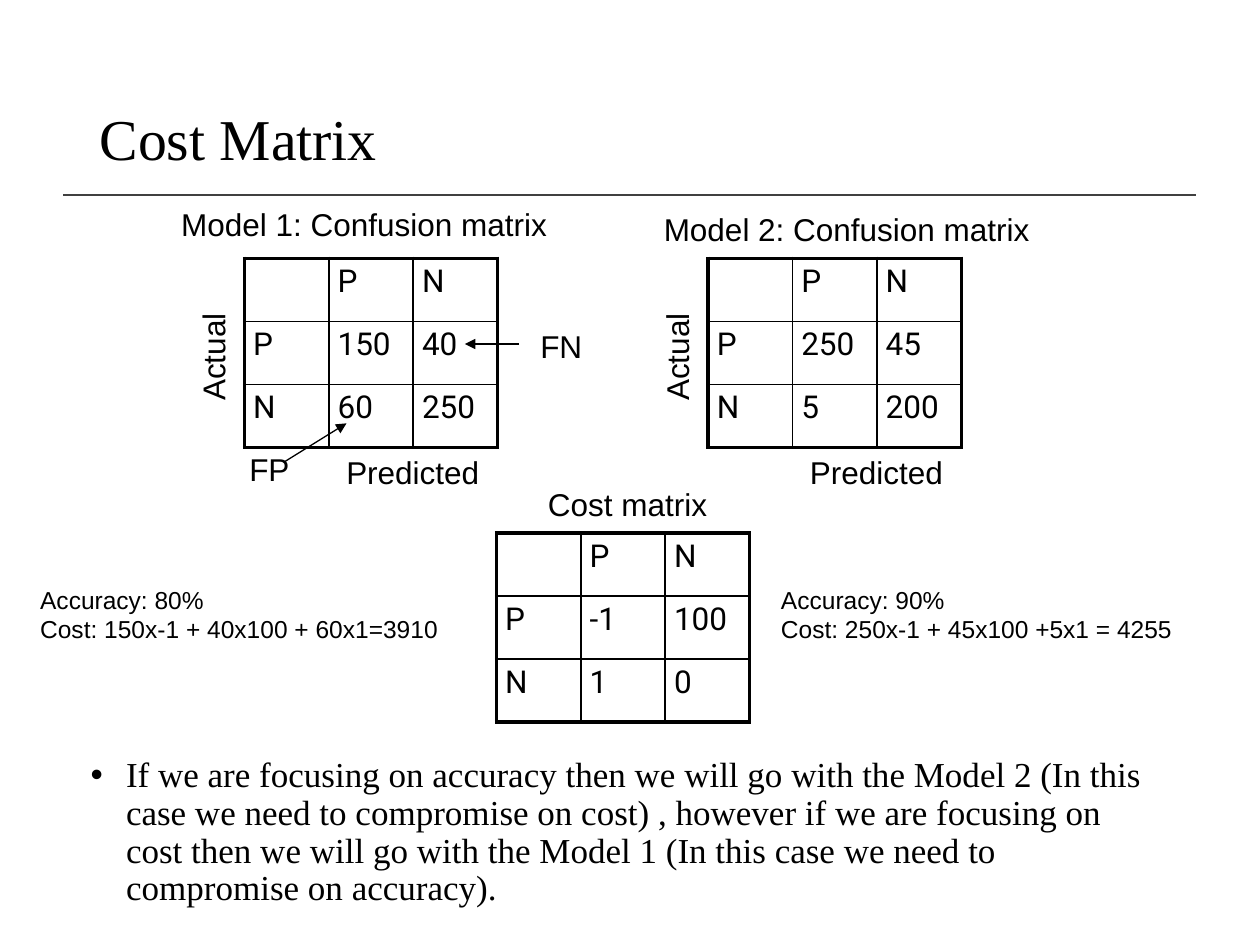
import lxml.etree
import pptx
import pptx.dml.color
import pptx.enum.shapes
import pptx.enum.text
import pptx.oxml.ns
import pptx.util
from pptx.util import Inches

COLORS = {"ink": "000000", "rule": "404040"}
ROW, COLUMN = 0.5, 0.67
qn = pptx.oxml.ns.qn


def style(paragraph, font_name, size):
    paragraph.font.name = font_name
    paragraph.font.size = pptx.util.Pt(size)
    paragraph.font.color.rgb = pptx.dml.color.RGBColor.from_string(COLORS["ink"])


def add_line(page, start, end, color, width, arrow=False):
    line = page.shapes.add_connector(
        pptx.enum.shapes.MSO_CONNECTOR.STRAIGHT,
        *(Inches(value) for value in (*start, *end)))
    line.line.color.rgb = pptx.dml.color.RGBColor.from_string(COLORS[color])
    line.line.width = pptx.util.Pt(width)
    if arrow:
        lxml.etree.SubElement(line.line._get_or_add_ln(), qn("a:tailEnd"), type="triangle")
    lxml.etree.SubElement(line._element.spPr, qn("a:effectLst"))


deck = pptx.Presentation()
deck.slide_width, deck.slide_height = Inches(10), Inches(7.5)
page = deck.slides.add_slide(deck.slide_layouts[1])

# Title and conclusion
title, body = page.placeholders
title.text_frame.text = "Cost Matrix"
body.text_frame.text = (
    "If we are focusing on accuracy then we will go with the Model 2 (In this case "
    "we need to compromise on cost) , however if we are focusing on cost then we will "
    "go with the Model 1 (In this case we need to compromise on accuracy).")
for box, top, left, height, size in ((title, 0.4, 0.69, 1.45, 33), (body, 5.96, 0.62, 1.41, 20)):
    box.left, box.top = Inches(left), Inches(top)
    box.width, box.height = Inches(8.62), Inches(height)
    box.text_frame.auto_size = pptx.enum.text.MSO_AUTO_SIZE.NONE
    para = box.text_frame.paragraphs[0]
    para.alignment = pptx.enum.text.PP_ALIGN.LEFT
    para.line_spacing = 0.9
    para.space_before = pptx.util.Pt(0)
    if box is body:
        properties = para._p.get_or_add_pPr()
        properties.set("marL", str(Inches(0.28)))
        properties.set("indent", str(Inches(-0.28)))
        lxml.etree.SubElement(properties, qn("a:buChar"), char="•")
    style(para, "Times New Roman", size)
title.text_frame.vertical_anchor = pptx.enum.text.MSO_ANCHOR.MIDDLE
body.text_frame.vertical_anchor = pptx.enum.text.MSO_ANCHOR.TOP

add_line(page, (0.5, 1.55), (9.49, 1.55), "rule", 1)

# Matrices: left, top, values
matrices = [
    (1.94, 2.05, (("150", "40"), ("60", "250"))),
    (5.62, 2.05, (("250", "45"), ("5", "200"))),
    (3.94, 4.23, (("-1", "100"), ("1", "0"))),
]
for left, top, values in matrices:
    table = page.shapes.add_table(
        3, 3, Inches(left), Inches(top), Inches(3 * COLUMN), Inches(3 * ROW)).table
    table.first_row = table.horz_banding = False
    for column in table.columns:
        column.width = Inches(COLUMN)
    rows = (("", "P", "N"), ("P", *values[0]), ("N", *values[1]))
    for r, row in enumerate(rows):
        table.rows[r].height = Inches(ROW)
        for c, text in enumerate(row):
            cell = table.cell(r, c)
            cell.text = text
            cell.margin_left = cell.margin_right = Inches(0.07)
            cell.margin_top = cell.margin_bottom = Inches(0.04)
            style(cell.text_frame.paragraphs[0], "Roboto", 18)
            outer_edges = {"lnL": c == 0, "lnR": c == 2, "lnT": r == 0, "lnB": r == 2}
            for edge, is_outer in outer_edges.items():
                border = lxml.etree.SubElement(
                    cell._tc.get_or_add_tcPr(), qn(f"a:{edge}"),
                    w=str(pptx.util.Pt(2.25 if is_outer else 1)))
                fill = lxml.etree.SubElement(border, qn("a:solidFill"))
                lxml.etree.SubElement(fill, qn("a:srgbClr"), val=COLORS["ink"])
            cell.fill.background()

# Labels: text, left, top, width, height, size, rotation
labels = [
    ("Model 1: Confusion matrix", 1.34, 1.58, 3.2, 0.4, 18, 0),
    ("Model 2: Confusion matrix", 5.17, 1.62, 3.2, 0.4, 18, 0),
    ("Cost matrix", 4.25, 3.8, 1.48, 0.4, 18, 0),
    ("FN", 4.19, 2.55, 0.54, 0.4, 18, 0),
    ("FP", 1.88, 3.52, 0.52, 0.4, 18, 0),
    ("Accuracy: 80%\nCost: 150x-1 + 40x100 + 60x1=3910", 0.22, 4.59, 3.69, 0.57, 14, 0),
    ("Accuracy: 90%\nCost: 250x-1 + 45x100 +5x1 = 4255", 6.1, 4.59, 3.66, 0.57, 14, 0),
]
for matrix_left in (1.94, 5.62):
    labels.append(("Predicted", matrix_left + 0.71, 3.55, 1.27, 0.4, 18, 0))
    labels.append(("Actual", matrix_left - 0.7, 2.63, 0.9, 0.4, 18, 270))
for text, left, top, width, height, size, rotation in labels:
    box = page.shapes.add_textbox(Inches(left), Inches(top), Inches(width), Inches(height))
    box.rotation = rotation
    box.text_frame.text = text
    box.text_frame.word_wrap = "\n" in text
    box.text_frame.auto_size = pptx.enum.text.MSO_AUTO_SIZE.SHAPE_TO_FIT_TEXT
    for para in box.text_frame.paragraphs:
        style(para, "Arial", size)

# Pointers to the false negatives and false positives
add_line(page, (4.12, 2.73), (3.69, 2.73), "ink", 0.75, arrow=True)
add_line(page, (2.25, 3.67), (2.75, 3.36), "ink", 0.75, arrow=True)

deck.save("out.pptx")
